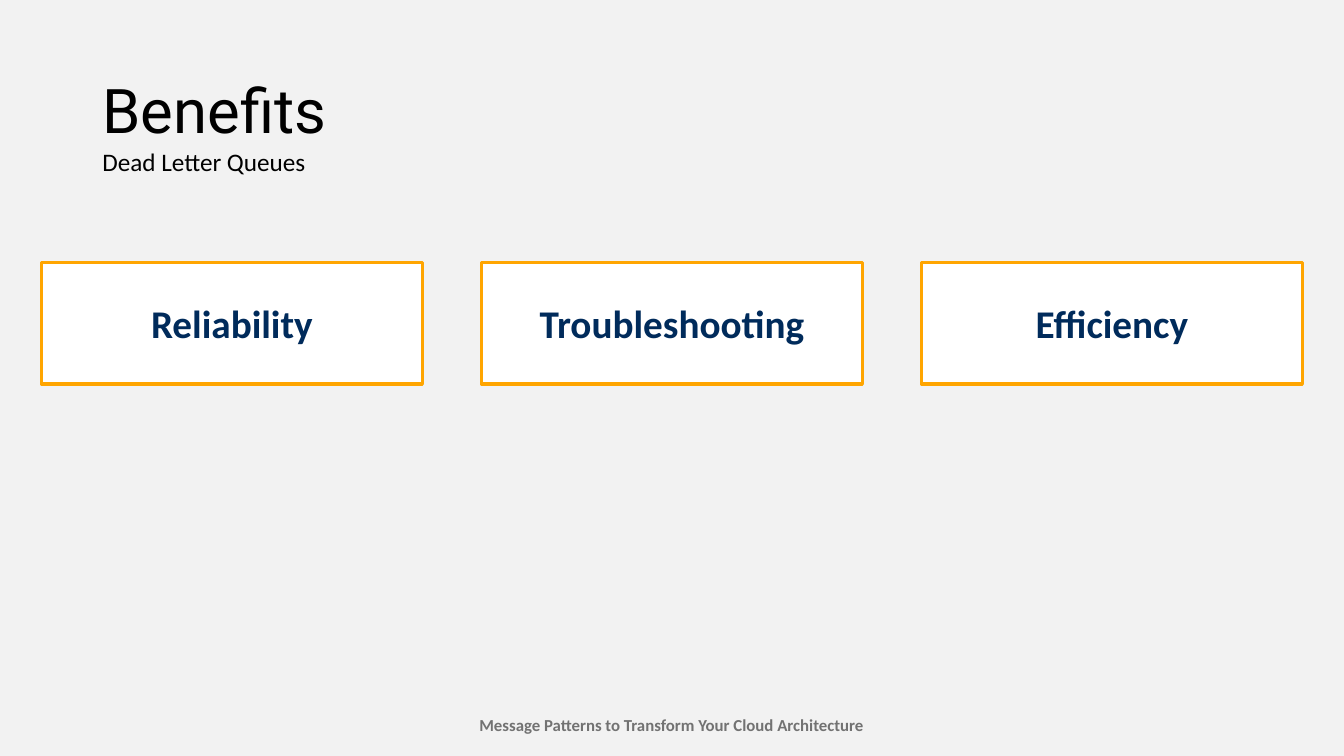
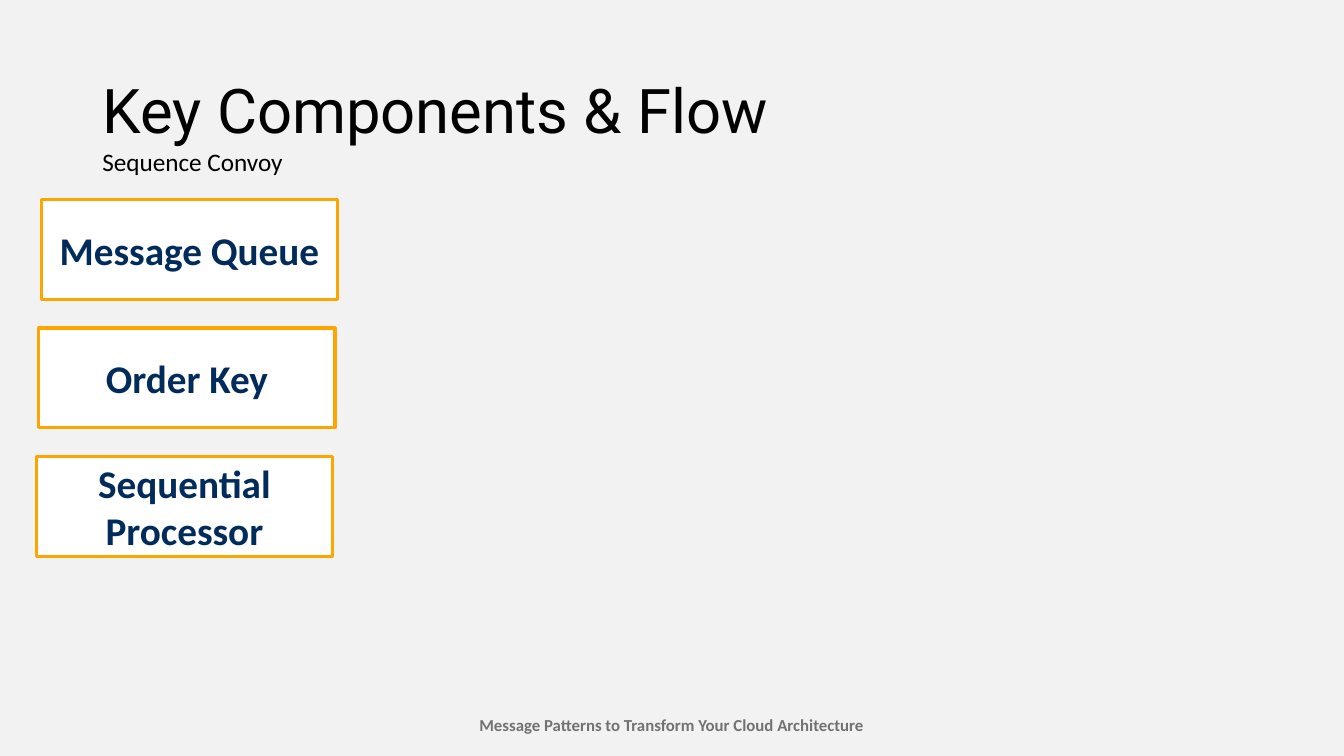
from pptx import Presentation
from pptx.dml.color import RGBColor
from pptx.enum.shapes import MSO_SHAPE as Shape
from pptx.enum.text import MSO_ANCHOR as Anchor, MSO_AUTO_SIZE as AutoSize, PP_ALIGN as Align
from pptx.util import Pt

BACKGROUND = RGBColor(0xF2, 0xF2, 0xF2)
WHITE = RGBColor(0xFF, 0xFF, 0xFF)
BLACK = RGBColor(0x00, 0x00, 0x00)
NAVY = RGBColor(0x00, 0x2B, 0x5B)
ORANGE = RGBColor(0xFF, 0xA5, 0x00)
GRAY = RGBColor(0x72, 0x72, 0x72)

TITLE_FONT = "Roboto"
BODY_FONT = "Calibri"
TITLE_LEFT = 66
FOOTER = "Message Patterns to Transform Your Cloud Architecture"


class DeckBuilder:
    def __init__(self):
        self.deck = Presentation()
        self.deck.slide_width, self.deck.slide_height = Pt(960), Pt(540)
        fill = self.deck.slide_master.background.fill
        fill.solid()
        fill.fore_color.rgb = BACKGROUND
        self.page = None

    def set_text(self, frame, text, size, color, font=BODY_FONT, bold=False, align=Align.LEFT):
        frame.text = text
        para = frame.paragraphs[0]
        para.alignment = align
        para.font.name = font
        para.font.size = Pt(size)
        para.font.bold = bold
        para.font.color.rgb = color
        return para

    def add_page(self, title, subtitle):
        self.page = self.deck.slides.add_slide(self.deck.slide_layouts.get_by_name("Title Only"))
        self.title(title)
        self.label(subtitle, TITLE_LEFT, 100.8, 198, 29, size=18, color=BLACK)
        self.label(FOOTER, 333.5, 507, 292.5, 21.6, size=12, color=GRAY, bold=True, align=Align.CENTER)

    def title(self, text):
        box = self.page.shapes.title
        box.left, box.top, box.width, box.height = Pt(TITLE_LEFT), Pt(28.8), Pt(828), Pt(104.4)
        box.text_frame.auto_size = AutoSize.NONE
        box.text_frame.vertical_anchor = Anchor.MIDDLE
        para = self.set_text(box.text_frame, text, 44, BLACK, font=TITLE_FONT)
        para.line_spacing = 0.9

    def label(self, text, left, top, width, height, **style):
        box = self.page.shapes.add_textbox(Pt(left), Pt(top), Pt(width), Pt(height))
        box.text_frame.word_wrap = False
        box.text_frame.auto_size = AutoSize.SHAPE_TO_FIT_TEXT
        self.set_text(box.text_frame, text, **style)

    def card(self, text, left, top, width, height):
        box = self.page.shapes.add_shape(Shape.RECTANGLE, Pt(left), Pt(top), Pt(width), Pt(height))
        box.shadow.inherit = False
        box.fill.solid()
        box.fill.fore_color.rgb = WHITE
        box.line.color.rgb = ORANGE
        box.line.width = Pt(2.25)
        box.text_frame.word_wrap = True
        box.text_frame.vertical_anchor = Anchor.MIDDLE
        self.set_text(box.text_frame, text, 28, NAVY, bold=True, align=Align.CENTER)

    def cards(self, texts, left, top, width, height, step_x=0, step_y=0):
        for index, text in enumerate(texts):
            self.card(text, left + index * step_x, top + index * step_y, width, height)


def main():
    builder = DeckBuilder()

    builder.add_page("Benefits", "Dead Letter Queues")
    builder.cards(["Reliability", "Troubleshooting", "Efficiency"],
                  29.5, 187.2, 272.2, 87.1, step_x=314.3)

    builder.add_page("Key Components & Flow", "Sequence Convoy")
    builder.cards(["Message Queue", "Order Key", "Sequential Processor"],
                  29.5, 142.5, 211.7, 71.3, step_x=-1.8, step_y=91.8)

    builder.deck.save("out.pptx")


if __name__ == "__main__":
    main()
